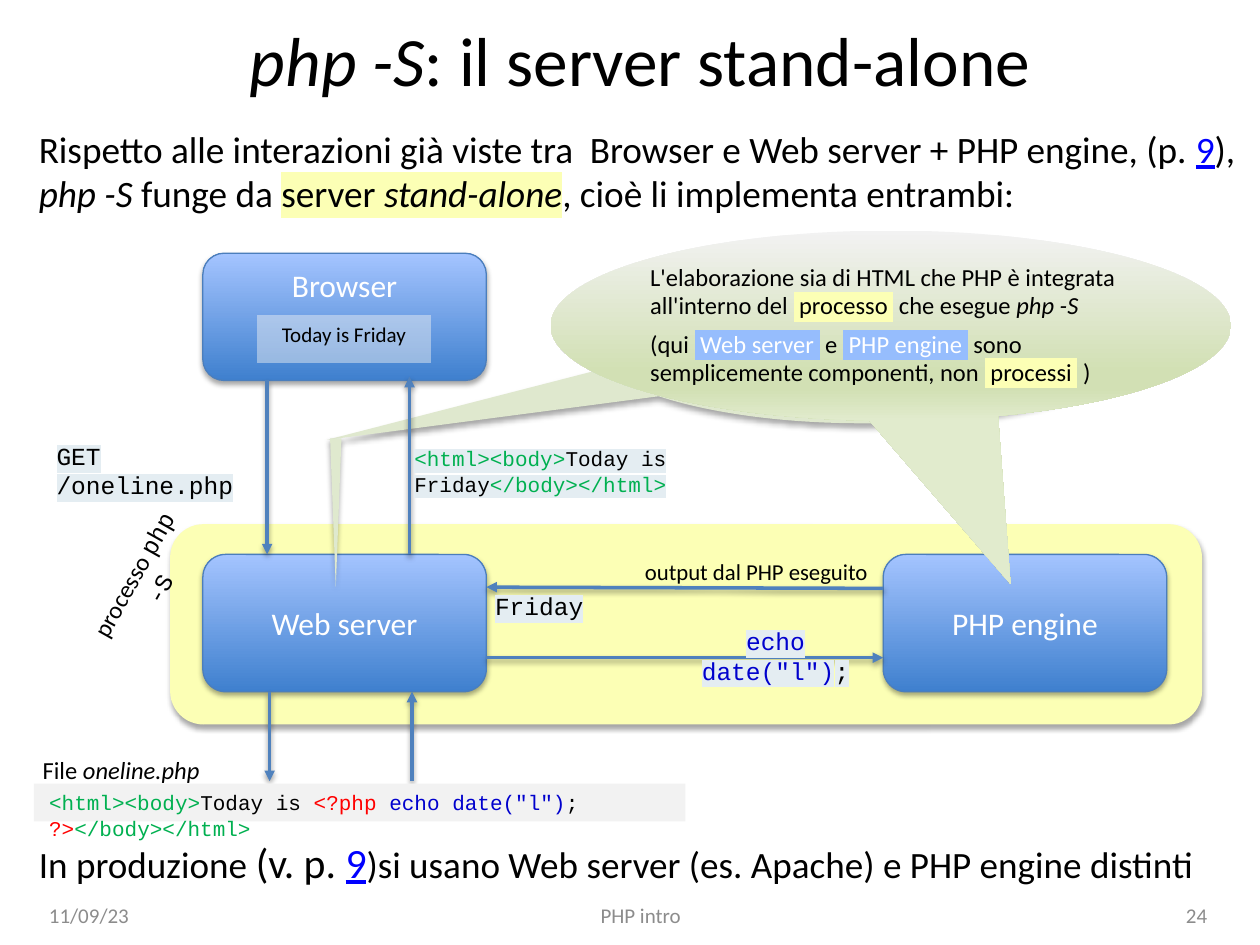
from pptx import Presentation
from pptx.dml.color import RGBColor
from pptx.enum.shapes import MSO_CONNECTOR, MSO_SHAPE
from pptx.enum.text import MSO_ANCHOR, PP_ALIGN
from pptx.oxml import parse_xml
from pptx.oxml.ns import nsdecls
from pptx.util import Inches, Pt

LEFT, MID, RIGHT = PP_ALIGN.LEFT, PP_ALIGN.CENTER, PP_ALIGN.RIGHT
TOP, CENTER = MSO_ANCHOR.TOP, MSO_ANCHOR.MIDDLE
ROUND, RECT = MSO_SHAPE.ROUNDED_RECTANGLE, MSO_SHAPE.RECTANGLE
BUBBLE, SPIKE = MSO_SHAPE.OVAL_CALLOUT, MSO_SHAPE.ISOSCELES_TRIANGLE
STRAIGHT = MSO_CONNECTOR.STRAIGHT
SANS, MONO = "Calibri", "Courier New"
BLACK, WHITE, GREY, BLUE = "000000", "FFFFFF", "8C8C8C", "4F81BD"
YELLOW, PALE, SKY = "FCFFB5", "E4EDF2", "96BDFD"
GREEN, RED, CODE, LINK = "00B050", "FF0000", "0000CD", "0000FF"


def rgb(code):
    return RGBColor.from_string(code)


def node(tag, inner="", attrs=""):
    return parse_xml(f"<a:{tag} {nsdecls('a')} {attrs}>{inner}</a:{tag}>")


def run(text, color=None, mark=None, slant=None, size=None, face=None, under=None):
    return text, color, mark, slant, size, face, under


def add_run(para, text, color, mark, slant, size, face, under):
    if text == "\n":
        para.add_line_break()
        return
    part = para.add_run()
    part.text = text
    font = part.font
    font.italic, font.underline = slant, under
    if color:
        font.color.rgb = rgb(color)
    if mark:
        font._element.append(node("highlight", f'<a:srgbClr val="{mark}"/>'))
    if size:
        font.size = Pt(size)
    if face:
        font.name = face


def write(shape, paras, size, color=BLACK, align=LEFT, face=SANS,
          anchor=TOP, pads=(0.1, 0.05, 0.1, 0.05), lead=None, gap=0):
    frame = shape.text_frame
    frame.word_wrap = True
    frame.vertical_anchor = anchor
    (frame.margin_left, frame.margin_top,
     frame.margin_right, frame.margin_bottom) = map(Inches, pads)
    for i, runs in enumerate(paras):
        para = frame.add_paragraph() if i else frame.paragraphs[0]
        para.alignment = align
        if lead:
            para.line_spacing = lead
        if i and gap:
            para.space_before = Pt(gap)
        para.font.size, para.font.name = Pt(size), face
        para.font.color.rgb = rgb(color)
        for item in runs:
            add_run(para, *item)


def label(slide, box, runs, size, **style):
    shape = slide.shapes.add_textbox(*map(Inches, box))
    write(shape, [runs], size, **style)
    return shape


def shade(shape, alpha=35, dist=1.8):
    props = shape._element.spPr
    for old in props.findall("{*}effectLst"):
        props.remove(old)
    props.append(node("effectLst", (
        f'<a:outerShdw blurRad="{Pt(3.1)}" dist="{Pt(dist)}" dir="5400000" rotWithShape="0">'
        f'<a:srgbClr val="000000"><a:alpha val="{alpha * 1000}"/></a:srgbClr></a:outerShdw>')))


def block(slide, kind, box, fill=None, adj=()):
    shape = slide.shapes.add_shape(kind, *map(Inches, box))
    shape.shadow.inherit = False
    shape.line.fill.background()
    if fill:
        shape.fill.solid()
        shape.fill.fore_color.rgb = rgb(fill)
    for i, value in enumerate(adj):
        shape.adjustments[i] = value
    return shape


def blend(shape, stops, angle):
    inner = "".join(f'<a:gs pos="{at * 1000}"><a:srgbClr val="{code}"/></a:gs>'
                    for at, code in stops)
    fill = node("gradFill", f'<a:gsLst>{inner}</a:gsLst><a:lin ang="{angle * 60000}" scaled="0"/>',
                'rotWithShape="1"')
    shape._element.spPr.find("{*}prstGeom").addnext(fill)


def arrow(slide, x1, y1, x2, y2):
    line = slide.shapes.add_connector(STRAIGHT, *map(Inches, (x1, y1, x2, y2)))
    line.line.color.rgb = rgb(BLUE)
    line.line.width = Pt(2)
    line.line._get_or_add_ln().append(node("tailEnd", attrs='type="triangle"'))
    shade(line, 38, 1.6)


def server(slide, box, name, anchor=CENTER):
    shape = block(slide, ROUND, box)
    blend(shape, [(0, "3F80CE"), (100, "A4C4FF")], 270)
    shape.line.color.rgb = rgb("4B7EBC")
    shape.line.width = Pt(0.75)
    shade(shape)
    write(shape, [[run(name)]], 18, color=WHITE, align=MID, anchor=anchor)


def header(slide, x, y, w):
    label(slide, (x + 0.18, y, w - 0.4, 0.78),
          [run("php -S", slant=True), run(": il server stand-alone")],
          39.6, align=MID, anchor=CENTER)
    label(slide, (x, y + 0.87, w, 0.98), [
        run("Rispetto alle interazioni già viste tra  Browser e Web server + PHP engine, (p. "),
        run("9", LINK, under=True), run("),"), run("\n"), run("php -S", slant=True),
        run(" funge da "), run("server ", mark=YELLOW),
        run("stand-alone", mark=YELLOW, slant=True),
        run(", cioè li implementa entrambi:")], 21.3)


def diagram(slide, x, y):
    wide, low, high = 2.25, y + 2.39, 1.09
    web, php = x + 0.26, x + 5.66
    edge, base = web + wide, low + high
    shade(block(slide, BUBBLE, (x + 3.29, y + 0.01, 4.41, 1.34), "DFE8CE", (-0.964, 0.598)))
    shade(block(slide, ROUND, (x, y + 2.15, 8.19, 1.59), YELLOW))
    server(slide, (web, y, wide, 1.01), "Browser", TOP)
    server(slide, (web, low, wide, high), "Web server")
    server(slide, (php, low, wide, high), "PHP engine")
    for ends in ((x + 0.77, y + 1.01, x + 0.77, low),
                 (x + 1.9, low, x + 1.9, y + 0.98),
                 (php, low + 0.27, edge, low + 0.26),
                 (edge, low + 0.82, php, low + 0.82),
                 (x + 0.79, base, x + 0.79, y + 4.19),
                 (x + 1.92, y + 4.19, x + 1.92, base)):
        arrow(slide, *ends)
    label(slide, (x - 1, y + 1.44, 1.82, 0.34),
          [run("GET /oneline.php", mark=PALE)], 14, face=MONO)
    label(slide, (x + 3.83, y + 2.91, 1.95, 0.34),
          [run('echo date("l")', CODE, PALE), run(";", mark=PALE)],
          14, face=MONO, align=MID)
    label(slide, (x + 2.43, y + 2.63, 1, 0.34),
          [run("Friday", mark=PALE)], 14, face=MONO, align=MID)
    label(slide, (x + 3.67, y + 2.37, 2.05, 0.32), [run("output dal PHP eseguito")], 13)
    label(slide, (x + 1.84, y + 1.48, 2.3, 0.5),
          [run("<html><body>", GREEN, PALE), run("Today is Friday", mark=PALE),
           run("</body></html>", GREEN, PALE)], 12, face=MONO)
    page = block(slide, RECT, (x + 0.69, y + 0.49, 1.38, 0.38), "F2F2F2")
    page.fill._xPr.find(".//{*}srgbClr").append(node("alpha", attrs='val="46000"'))
    write(page, [[run("Today is Friday")]], 12, align=MID)


def remark(slide, x, y, w, h):
    shape = block(slide, BUBBLE, (x, y, w, h), adj=(0.176, 1.358))
    blend(shape, [(0, "F2F2F2"), (74, "D2E0B4"), (83, "D2E0B4"), (100, "E1EBCD")], 90)
    write(shape, [
        [run("L'elaborazione sia di HTML che PHP è integrata all'interno del "),
         run(" processo ", mark=YELLOW), run(" che esegue "), run("php -S", slant=True)],
        [run("(qui "), run(" Web server ", WHITE, SKY), run(" e "),
         run(" PHP engine ", WHITE, SKY), run(" sono semplicemente componenti, non "),
         run(" processi ", mark=YELLOW), run(" )")]],
        14, anchor=CENTER, pads=(0, 0, 0, 0), lead=0.95, gap=6)


def source(slide, x, y, w):
    label(slide, (x, y, 1.46, 0.34), [run("File "), run("oneline.php", slant=True)], 14)
    shape = block(slide, RECT, (x + 0.03, y + 0.28, w, 0.3), "F2F2F2")
    write(shape, [[
        run("<html><body>", GREEN), run("Today is "), run("<?php", RED),
        run(' echo date("l")', CODE), run("; "), run("?>", RED),
        run("</body></html>", GREEN)]], 12, face=MONO, pads=(0.12, 0.05, 0.04, 0.05))


def closing(slide, x, y, w):
    label(slide, (x, y, w, 0.54), [
        run("In produzione "), run("(v. p. ", size=23.8),
        run("9", LINK, size=23.8, under=True),
        run(")si usano Web server (es. Apache) e PHP engine distinti")], 21.2)


def pointer(slide, x, y):
    spike = block(slide, SPIKE, (x + 2.34, y, 0.09, 1.18), "DFE9CE")
    spike.rotation = 180
    shade(spike)
    name = label(slide, (x, y + 0.91, 1.56, 0.34),
                 [run("processo "), run("php -S", face=MONO)], 14, align=MID)
    name.rotation = 299.3


def footer(slide, x, y):
    for dx, w, text, align in ((0, 2.33, "11/09/23", LEFT),
                               (3.21, 3.17, "PHP intro", MID),
                               (7.06, 2.33, "24", RIGHT)):
        label(slide, (x + dx, y, w, 0.4), [run(text)], 12,
              color=GREY, align=align, anchor=CENTER)


def main():
    deck = Presentation()
    deck.slide_width, deck.slide_height = Inches(10), Inches(7.5)
    slide = deck.slides.add_slide(deck.slide_layouts[6])
    header(slide, 0.21, 0.08, 9.78)
    footer(slide, 0.29, 7.06)
    diagram(slide, 1.35, 2.01)
    source(slide, 0.24, 5.94, 5.17)
    remark(slide, 4.37, 1.83, 5.4, 1.51)
    closing(slide, 0.21, 6.59, 9.66)
    pointer(slide, 0.28, 3.48)
    deck.save("out.pptx")


if __name__ == "__main__":
    main()
